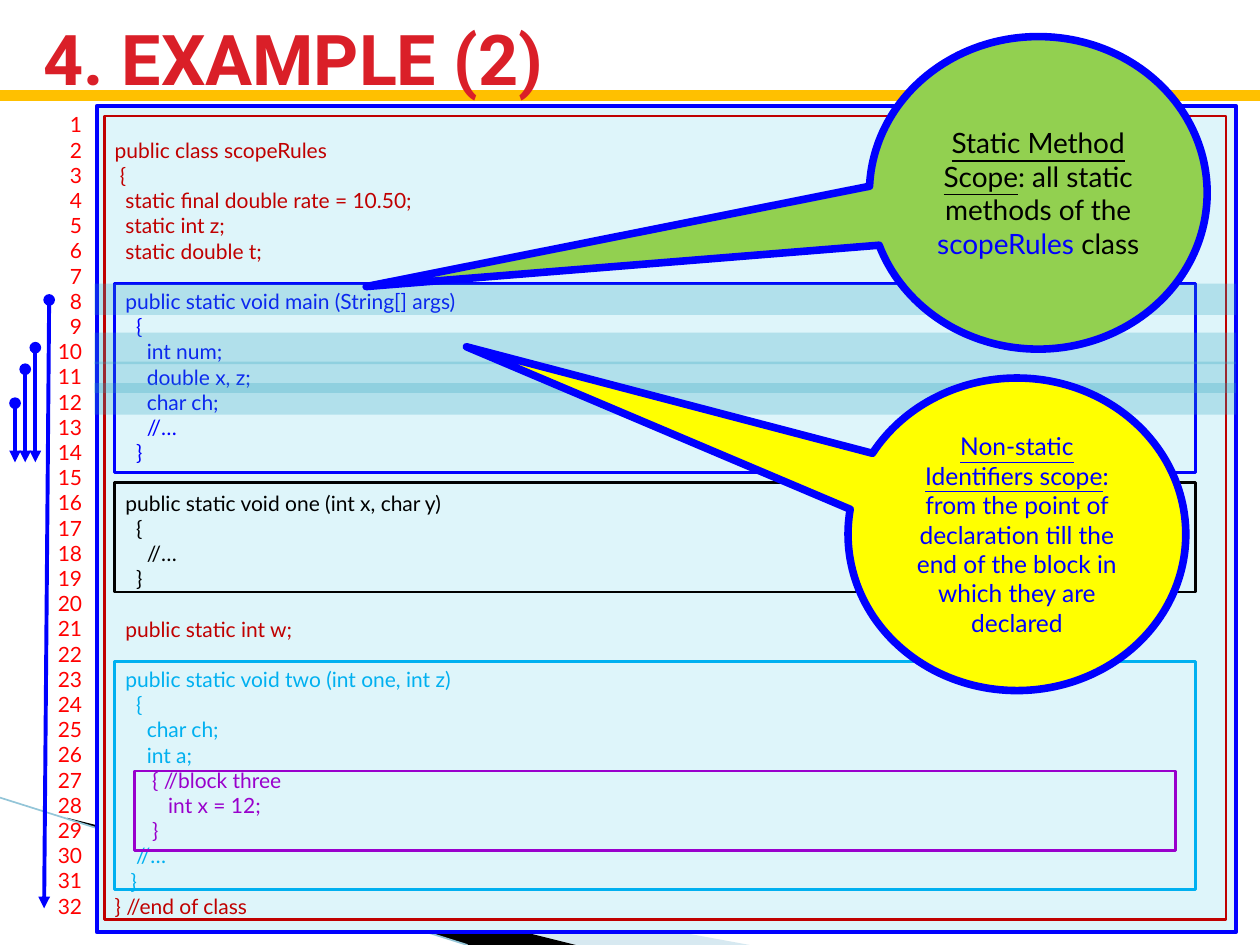
from lxml import etree
from pptx import Presentation
from pptx.dml.color import RGBColor
from pptx.enum.shapes import MSO_CONNECTOR, MSO_SHAPE as Preset
from pptx.enum.text import MSO_ANCHOR as Anchor, PP_ALIGN as Align
from pptx.oxml.ns import qn
from pptx.util import Pt

COLOURS = {
    "title": "DA1F28", "rule": "FFC000", "number": "FF0000", "panel": "DEF5FA",
    "blue": "0000FF", "red": "C00000", "black": "000000", "sky": "00B0F0",
    "purple": "9900CC", "band": "2DA2BF", "yellow": "FFFF00", "green": "92D050",
    "swoosh": "9CCADC", "swoosh_line": "93C5D8",
}
COLOURS = {name: RGBColor.from_string(value) for name, value in COLOURS.items()}
LINE_PITCH = 14.4

deck = Presentation()
deck.slide_width, deck.slide_height = Pt(720), Pt(540)
page = deck.slides.add_slide(deck.slide_layouts[6])
shapes = page.shapes


def paint(shape, fill=None, line=None, width=1.5, opacity=None):
    shape.shadow.inherit = False
    if fill:
        shape.fill.solid()
        shape.fill.fore_color.rgb = COLOURS[fill]
        if opacity:
            colour = shape.fill._xPr.find(qn("a:solidFill"))[0]
            etree.SubElement(colour, qn("a:alpha"), val=str(opacity * 1000))
    else:
        shape.fill.background()
    if line:
        shape.line.color.rgb = COLOURS[line]
        shape.line.width = Pt(width)
    else:
        shape.line.fill.background()


def write(shape, paragraphs, base, align=Align.LEFT, anchor=Anchor.TOP):
    """Fill a shape with (space before, [(text, colour, font changes)]) paragraphs."""
    frame = shape.text_frame
    frame.word_wrap = True
    frame.vertical_anchor = anchor
    for index, (gap, spans) in enumerate(paragraphs):
        para = frame.add_paragraph() if index else frame.paragraphs[0]
        para.alignment = align
        if gap:
            para.space_before = Pt(gap)
        for text, colour, changes in spans:
            span = para.add_run()
            span.text = text
            span.font.color.rgb = COLOURS[colour]
            for name, value in {**base, **changes}.items():
                setattr(span.font, name, value)


# Corner decoration
swooshes = [
    ("swoosh", 40, [(39.6, 468.7), (428.4, 540), (328.3, 540), (39.6, 468)]),
    ("black", None, [(38.2, 467.3), (329, 540), (267.8, 540), (38.9, 468)]),
]
for colour, opacity, points in swooshes:
    corners = [(Pt(x), Pt(y)) for x, y in points]
    outline = shapes.build_freeform(*corners[0])
    outline.add_line_segments(corners[1:])
    paint(outline.convert_to_shape(), colour, opacity=opacity)

# Rules, then scope arrows
lines = [
    ((0, 455.8, 267.1, 540), "swoosh_line", 0.95, False),
    ((0, 54.7, 720, 54.7), "rule", 6, False),
    ((28.1, 171.4, 25.2, 519.1), "blue", 2.25, True),
    ((20.2, 198.7, 20.2, 264.2), "blue", 2.25, True),
    ((14.4, 211, 14.4, 264.2), "blue", 2.25, True),
    ((8.6, 230.4, 8.6, 264.2), "blue", 2.25, True),
]
for ends, colour, width, is_arrow in lines:
    connector = shapes.add_connector(MSO_CONNECTOR.STRAIGHT, *map(Pt, ends))
    connector.line.color.rgb = COLOURS[colour]
    connector.line.width = Pt(width)
    if is_arrow:
        stroke = connector.line._get_or_add_ln()
        etree.SubElement(stroke, qn("a:headEnd"), type="oval")
        etree.SubElement(stroke, qn("a:tailEnd"), type="triangle")
    etree.SubElement(connector._element.spPr, qn("a:effectLst"))

# Title and line numbers
title = shapes.add_textbox(*map(Pt, (18, 9.4, 681.8, 46.8)))
write(title, [(0, [("4. EXAMPLE (2)", "title", {})])],
      {"name": "Roboto", "size": Pt(40), "bold": True}, anchor=Anchor.MIDDLE)

code_font = {"name": "Lato", "size": Pt(12)}
numbers = shapes.add_textbox(*map(Pt, (14.4, 60.5, 39.6, 472.3)))
write(numbers, [(0, [(str(number), "number", {})]) for number in range(1, 33)],
      code_font, Align.RIGHT)

# Code listing: colour, empty line before the block, lines
blocks = [
    ("red", False, [" public class scopeRules", "  {",
                    "   static final double rate = 10.50;",
                    "   static int z;", "   static double t;"]),
    ("blue", True, ["   public static void main (String[] args)", "     {",
                    "       int num;", "       double x, z;", "       char ch;",
                    "       //…", "     }"]),
    ("black", True, ["   public static void one (int x, char y)", "     {",
                     "       //…", "     }"]),
    ("red", True, ["   public static int w;"]),
    ("sky", True, ["   public static void two (int one, int z)", "     {",
                   "       char ch;", "       int a;"]),
    ("purple", False, ["        { //block three", "           int x = 12;", "        }"]),
    ("sky", False, ["     //…", "    }"]),
    ("red", False, [" } //end of class"]),
]
code = [
    (LINE_PITCH if spaced and index == 0 else 0, [(text, colour, {})])
    for colour, spaced, texts in blocks
    for index, text in enumerate(texts)
]
panel = shapes.add_shape(Preset.RECTANGLE, *map(Pt, (55.4, 60.5, 650.9, 472.3)))
paint(panel, "panel", "blue", 2.25)
panel.text_frame.margin_top = Pt(3.6 + LINE_PITCH)
write(panel, code, code_font)

# Scope frames
frames = [
    ("red", (59.8, 66.2, 640.8, 459.4)),
    ("blue", (65.5, 162, 617.8, 108)),
    ("black", (65.5, 275.8, 617.8, 62.6)),
    ("sky", (65.5, 378, 617.8, 130.3)),
    ("purple", (77, 440.6, 594.7, 45.4)),
]
for colour, place in frames:
    paint(shapes.add_shape(Preset.RECTANGLE, *map(Pt, place)), line=colour)

# Highlighted declarations
for top in (162, 190.1, 206.6, 218.9):
    band = shapes.add_shape(Preset.RECTANGLE, *map(Pt, (54, top, 652.3, 18)))
    paint(band, "band", opacity=25)

# Callouts
underlined = {"underline": True}
callouts = [
    ("yellow", (484.6, 216), (-1.63, -0.6), 14, [
        ("Non-static Identifiers scope", "blue", underlined),
        (": from the point of declaration till the end of the block "
         "in which they are declared", "blue", {})]),
    ("green", (496.8, 20.9), (-1.99, 0.3), 16, [
        ("Static Method Scope", "black", underlined),
        (": all static methods of the ", "black", {}),
        ("scopeRules ", "blue", {}),
        ("class", "black", {})]),
]
for fill, corner, tip, size, spans in callouts:
    callout = shapes.add_shape(Preset.OVAL_CALLOUT, *map(Pt, (*corner, 193, 178.6)))
    for index, offset in enumerate(tip):
        callout.adjustments[index] = offset
    paint(callout, fill, "blue", 4.33)
    write(callout, [(0, spans)], {"name": "Lato", "size": Pt(size)},
          Align.CENTER, Anchor.MIDDLE)

deck.save("out.pptx")
